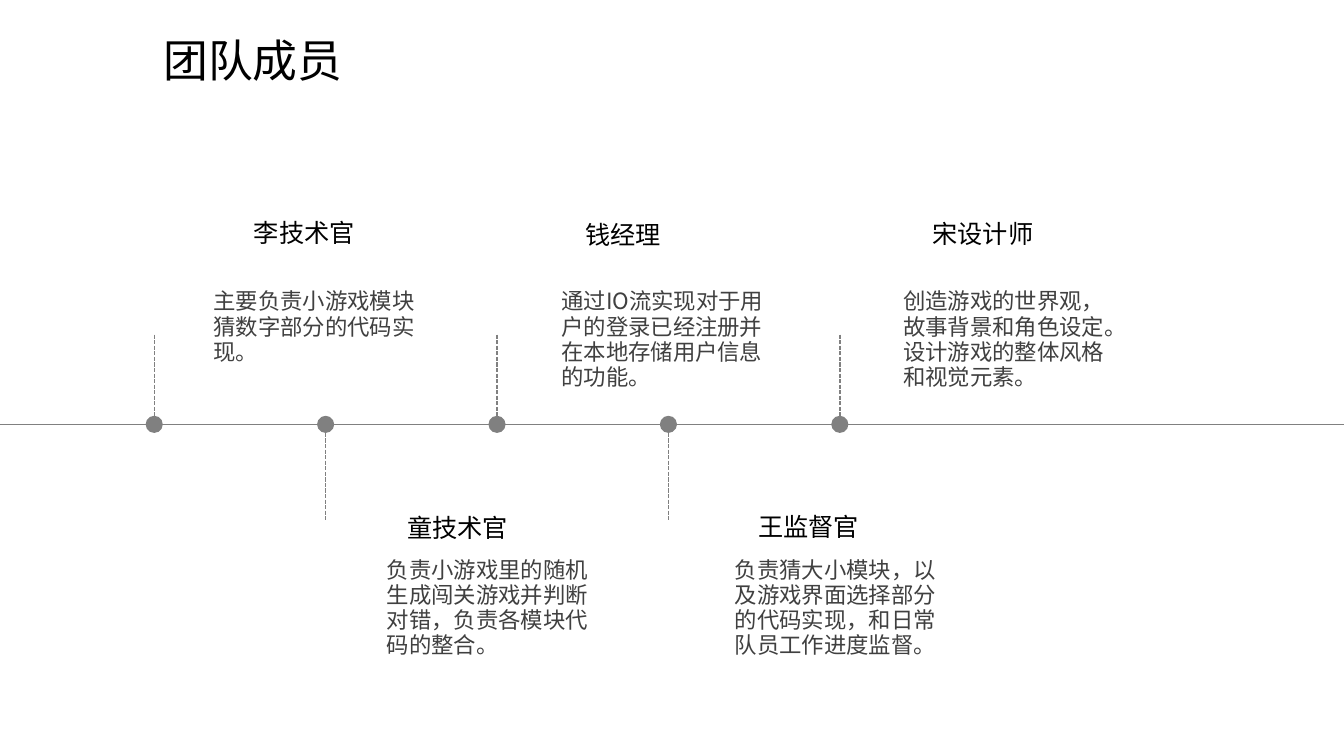
"""Build the team members slide: five people along a timeline."""
from pptx import Presentation
from pptx.dml.color import RGBColor
from pptx.enum.dml import MSO_LINE
from pptx.enum.shapes import MSO_CONNECTOR, MSO_SHAPE
from pptx.enum.text import MSO_ANCHOR, MSO_AUTO_SIZE
from pptx.oxml.ns import qn
from pptx.util import Inches, Pt
from lxml import etree

FONT = "Noto Sans CJK SC"
BLACK = RGBColor(0x00, 0x00, 0x00)
DARK = RGBColor(0x40, 0x40, 0x40)
GRAY = RGBColor(0x80, 0x80, 0x80)

SLIDE_W, AXIS_Y = 13.33, 4.21
FIRST_X, STEP_X, DOT = 1.53, 1.7, 0.17
STEM_UP, STEM_DOWN = 3.32, 5.16

MEMBERS = [
    ("李技术官", (2.42, 2.11, 1.21), (2.02, 2.82, 0.86),
     ["主要负责小游戏模块猜数字部分的代码实现。"]),
    ("童技术官", (3.94, 5.03, 1.21), (3.74, 5.48, 1.11),
     ["负责小游戏里的随机生成闯关游戏并判断对错，负责各模块代码的整合。"]),
    ("钱经理", (5.71, 2.13, 0.96), (5.47, 2.82, 1.11),
     ["通过IO流实现对于用户的登录已经注册并在本地存储用户信息的功能。"]),
    ("王监督官", (7.42, 5.02, 1.21), (7.19, 5.48, 1.11),
     ["负责猜大小模块，以及游戏界面选择部分的代码实现，和日常队员工作进度监督。"]),
    ("宋设计师", (9.15, 2.12, 1.21), (8.86, 2.82, 1.11),
     ["创造游戏的世界观，故事背景和角色设定。", "设计游戏的整体风格和视觉元素。"]),
]

prs = Presentation()
prs.slide_width, prs.slide_height = Inches(SLIDE_W), Inches(7.5)
slide = prs.slides.add_slide(prs.slide_layouts[6])


def add_text(paragraphs, left, top, width, height, size=16, color=BLACK,
             wrap=True, anchor=MSO_ANCHOR.TOP, spacing=None):
    sp = slide.shapes.add_textbox(Inches(left), Inches(top), Inches(width), Inches(height))
    tf = sp.text_frame
    tf.word_wrap = wrap
    tf.auto_size = MSO_AUTO_SIZE.SHAPE_TO_FIT_TEXT
    tf.vertical_anchor = anchor
    for i, text in enumerate(paragraphs):
        p = tf.paragraphs[0] if i == 0 else tf.add_paragraph()
        p.line_spacing = spacing
        r = p.add_run()
        r.text = text
        r.font.size, r.font.name = Pt(size), FONT
        r.font.color.rgb = color
        etree.SubElement(r.font._element, qn("a:ea"), typeface=FONT)


def add_line(x1, y1, x2, y2, width, dash=None):
    line = slide.shapes.add_connector(
        MSO_CONNECTOR.STRAIGHT, Inches(x1), Inches(y1), Inches(x2), Inches(y2))
    line.line.color.rgb = GRAY
    line.line.width = Pt(width)
    line.line.dash_style = dash
    etree.SubElement(line._element.spPr, qn("a:effectLst"))


add_text(["团队成员"], 1.52, 0.27, 7.78, 0.64, size=32, anchor=MSO_ANCHOR.MIDDLE)
add_line(0, AXIS_Y, SLIDE_W, AXIS_Y, 0.5)

for i, (name, name_at, duty_at, duty) in enumerate(MEMBERS):
    x = FIRST_X + i * STEP_X
    if i % 2 == 0:
        add_line(x, STEM_UP, x, AXIS_Y - DOT / 2, 1, MSO_LINE.SQUARE_DOT)
    else:
        add_line(x, AXIS_Y + DOT / 2, x, STEM_DOWN, 1, MSO_LINE.SQUARE_DOT)

    dot = slide.shapes.add_shape(
        MSO_SHAPE.OVAL, Inches(x - DOT / 2), Inches(AXIS_Y - DOT / 2), Inches(DOT), Inches(DOT))
    dot.shadow.inherit = False
    dot.fill.solid()
    dot.fill.fore_color.rgb = GRAY
    dot.line.fill.background()

    left, top, width = name_at
    add_text([name], left, top, width, 0.4, size=18, wrap=False)
    left, top, height = duty_at
    add_text(duty, left, top, 2.24, height, color=DARK, spacing=Pt(18))

prs.save("out.pptx")
